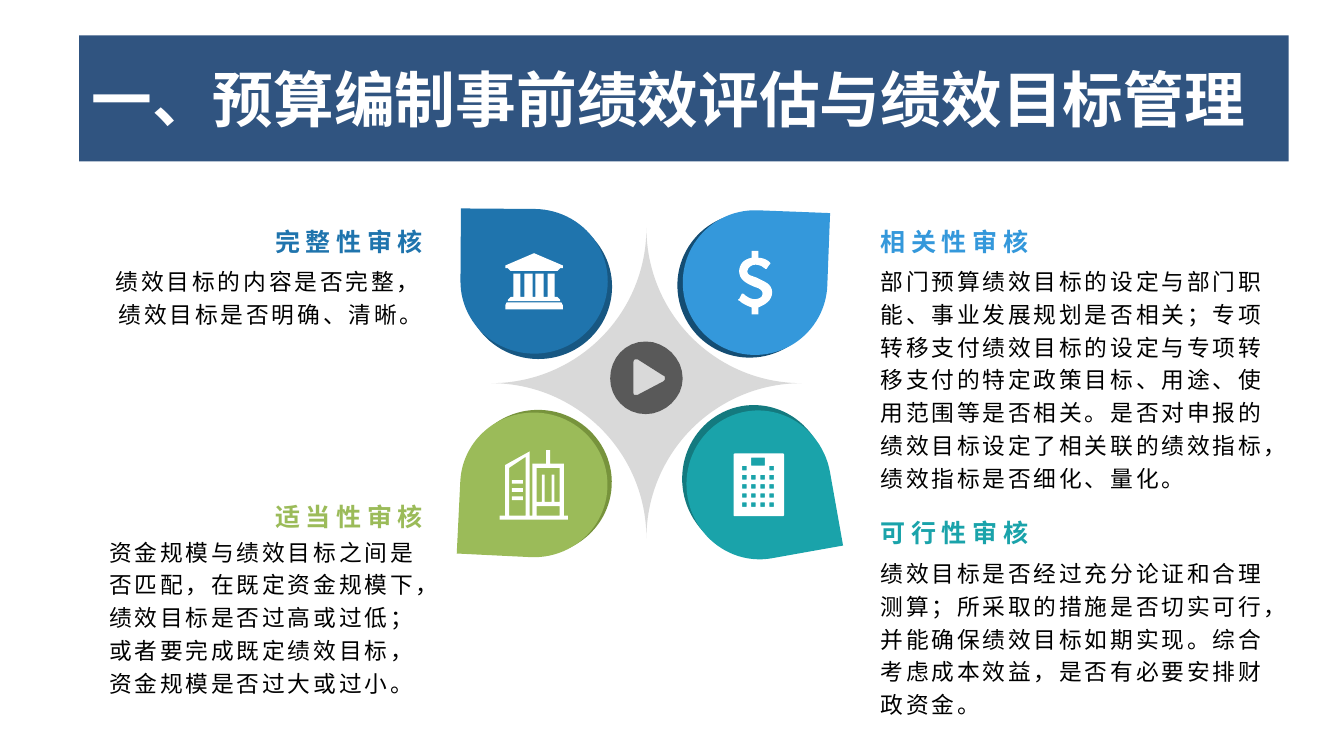
from lxml.etree import SubElement
from pptx import Presentation
from pptx.dml.color import RGBColor
from pptx.enum.shapes import MSO_SHAPE
from pptx.enum.text import MSO_ANCHOR, MSO_AUTO_SIZE, PP_ALIGN
from pptx.oxml.ns import qn
from pptx.util import Cm, Pt

FONT = "Noto Sans CJK SC"
COLORS = {
    "banner": "305480", "white": "FFFFFF", "text": "000000",
    "star": "D9D9D9", "button": "595959",
    "blue": "1F74AD", "blue_dark": "175782",
    "sky": "3498DB", "sky_dark": "144D73",
    "green": "9BBB59", "green_dark": "77933C",
    "teal": "1AA3AA", "teal_dark": "147A7F",
}


def color(name):
    return RGBColor.from_string(COLORS[name])


def paint(shape, fill):
    shape.fill.solid()
    shape.fill.fore_color.rgb = color(fill)
    shape.line.fill.background()
    shape.shadow.inherit = False


def write_text(shape, text, size=12, fill="text", bold=False, align=PP_ALIGN.LEFT,
               anchor=MSO_ANCHOR.TOP, spacing=0, line_spacing=1.2,
               margins=(0.18, 0, 0.18, 0.1)):
    frame = shape.text_frame
    frame.word_wrap = True
    frame.auto_size = MSO_AUTO_SIZE.NONE
    frame.vertical_anchor = anchor
    (frame.margin_left, frame.margin_top,
     frame.margin_right, frame.margin_bottom) = map(Cm, margins)
    paragraph = frame.paragraphs[0]
    paragraph.alignment = align
    paragraph.line_spacing = line_spacing
    run = paragraph.add_run()
    run.text = text
    run.font.size = Pt(size)
    run.font.bold = bold
    run.font.name = FONT
    run.font.color.rgb = color(fill)
    properties = run.font._element
    properties.set("lang", "zh-CN")
    properties.set("spc", str(int(spacing * 100)))
    SubElement(properties, qn("a:ea")).set("typeface", FONT)


# Icon outlines: a pair is a corner, six numbers are a curve
def flatten(contour, steps=8):
    points = []
    for segment in contour:
        if len(segment) == 2:
            points.append(segment)
            continue
        controls = [points[-1], segment[:2], segment[2:4], segment[4:]]
        for step in range(1, steps + 1):
            t = step / steps
            weights = ((1 - t) ** 3, 3 * t * (1 - t) ** 2, 3 * t * t * (1 - t), t ** 3)
            points.append(tuple(sum(w * control[axis] for w, control in zip(weights, controls))
                                for axis in (0, 1)))
    return [(round(x * 10), round(y * 10)) for x, y in points]


def rectangle(left, top, width, height):
    right, bottom = left + width, top + height
    return [(left, top), (right, top), (right, bottom), (left, bottom)]


def bank_icon():
    roof = [(0, 9), (21, 0), (42, 9), (42, 11), (40, 11), (38, 13), (4, 13), (2, 11), (0, 11)]
    base = [(0, 41), (0, 38), (1, 36), (41, 36), (42, 38), (42, 41)]
    columns = [(2, 35), (2, 34), (4, 32)]
    for left, right in ((6, 11), (14, 20), (22, 28), (31, 36)):
        columns += [(left, 32), (left, 15), (right, 15), (right, 32)]
    return [roof, base, columns + [(38, 32), (40, 34), (40, 35)]]


def dollar_icon():
    return [[
        (15, 41), (15, 46), (10, 46), (10, 41), (4, 39, 1, 36, 1, 36), (0, 36, 0, 35, 1, 35),
        (3, 31), (4, 31), (4, 31, 8, 35, 12, 35), (15, 35, 18, 34, 18, 31),
        (18, 28, 15, 27, 12, 26), (7, 24, 1, 21, 1, 15), (1, 10, 4, 6, 10, 5),
        (10, 0), (15, 0), (15, 5), (20, 5, 23, 8, 23, 8), (24, 9, 24, 9, 23, 10),
        (21, 13), (20, 13), (20, 13, 17, 10, 13, 10), (9, 10, 7, 13, 7, 15),
        (7, 18, 11, 18, 15, 20), (19, 22, 25, 24, 25, 30), (25, 36, 20, 39, 15, 41),
    ]]


def buildings_icon():
    outline = [(50, 51), (0, 51), (0, 48), (4, 48), (4, 11), (22, 1), (22, 48), (24, 48),
               (24, 10), (34, 10), (34, 0), (37, 0), (37, 10), (47, 10), (47, 48), (50, 48)]
    tower = [(19, 5), (7, 13), (7, 48), (19, 48)]
    windows = [(44, 13), (27, 13), (27, 38), (31, 38), (31, 18), (33, 18),
               (33, 38), (38, 38), (38, 18), (40, 18), (40, 38), (44, 38)]
    bars = [rectangle(9, top, 8, 2.7) for top in (22, 28, 34)]
    return [outline, tower, windows, rectangle(27, 41, 17, 7), *bars]


def calculator_icon():
    body = [(0, 1), (0, 0, 1, 0, 1, 0), (36, 0), (37, 0, 37, 1, 37, 1),
            (37, 45), (37, 46, 36, 46, 36, 46), (1, 46), (0, 46, 0, 45, 0, 45)]
    keys = [rectangle(6.3 + 6.65 * column, 9.2 + 6.65 * row, 3.3, 3.3)
            for row in range(5) for column in range(4) if row or column in (0, 3)]
    return [body, rectangle(13, 3, 10, 6), *keys]


def play_icon():
    disc = [(53, 27), (53, 41, 40, 53, 26, 53), (11, 53, 0, 41, 0, 27),
            (0, 12, 11, 0, 26, 0), (40, 0, 53, 12, 53, 27)]
    triangle = [(40, 27), (40, 26, 40, 25, 39, 25), (20, 13), (20, 13, 19, 13, 18, 13),
                (17, 14, 17, 15, 17, 15), (17, 37), (17, 38, 17, 39, 18, 39),
                (20, 39), (39, 29), (40, 28, 40, 28, 40, 27)]
    return [disc, triangle]


def add_icon(slide, contours, box, fill="white"):
    """Centre an icon of the given width in a box: left, top, width, height, icon width."""
    left, top, width, height, icon_width = box
    outlines = [flatten(contour) for contour in contours]
    points = [point for outline in outlines for point in outline]
    columns, rows = (max(values) for values in zip(*points))
    unit = icon_width / columns
    builder = slide.shapes.build_freeform(*outlines[0][0], scale=Cm(unit))
    for index, outline in enumerate(outlines):
        if index:
            builder.move_to(*outline[0])
        builder.add_line_segments(outline[1:], close=True)
    shape = builder.convert_to_shape(Cm(left + (width - icon_width) / 2),
                                     Cm(top + (height - rows * unit) / 2))
    paint(shape, fill)


def add_title(slide, left, top, width, height, text):
    title = slide.shapes.title
    title.left, title.top, title.width, title.height = map(Cm, (left, top, width, height))
    paint(title, "banner")
    write_text(title, text, size=32, fill="white", bold=True, anchor=MSO_ANCHOR.MIDDLE,
               line_spacing=1, margins=(0.23, 0.1, 0.23, 0.1))


def add_star(slide, left, top, size):
    star = slide.shapes.add_shape(MSO_SHAPE.PLAQUE, Cm(left), Cm(top), Cm(size), Cm(size))
    star.adjustments[0] = 0.5
    paint(star, "star")
    add_icon(slide, play_icon(), (left, top - 0.1, size, size, 1.35), "button")


def add_petal(slide, box, shade, rotation, fill, icon, icon_width):
    left, top, width, height = box
    for x, y, name in ((*shade, fill + "_dark"), (0, 0, fill)):
        petal = slide.shapes.add_shape(MSO_SHAPE.TEAR, Cm(left + x), Cm(top + y),
                                       Cm(width), Cm(height))
        petal.rotation = rotation
        paint(petal, name)
    add_icon(slide, icon, (*box, icon_width))


def add_review(slide, left, top, width, gap, fill, heading, body,
               heading_align=PP_ALIGN.LEFT, body_align=PP_ALIGN.LEFT):
    heading_box = slide.shapes.add_textbox(Cm(left), Cm(top), Cm(6.2), Cm(0.81))
    write_text(heading_box, heading, size=13.2, fill=fill, bold=True, align=heading_align,
               anchor=MSO_ANCHOR.BOTTOM, spacing=3, margins=(0.18, 0.1, 0.18, 0))
    body_box = slide.shapes.add_textbox(Cm(left), Cm(top + gap), Cm(width), Cm(1.3))
    write_text(body_box, body, align=body_align, spacing=1.5)


def main():
    presentation = Presentation()
    presentation.slide_width, presentation.slide_height = Cm(25), Cm(14)
    slide = presentation.slides.add_slide(presentation.slide_layouts[5])
    add_title(slide, 1.47, 0.66, 22.5, 2.34, "一、预算编制事前绩效评估与绩效目标管理")

    # Central star with four petals
    add_star(slide, 9.14, 4.24, 5.77)
    add_petal(slide, (8.59, 3.86, 2.69, 2.74), (0.08, 0.1), 270.4, "blue", bank_icon(), 1.07)
    add_petal(slide, (12.7, 3.91, 2.69, 2.69), (-0.1, 0.05), 2.2, "sky", dollar_icon(), 0.64)
    add_petal(slide, (8.56, 7.67, 2.74, 2.69), (0.08, -0.05), 182.8, "green",
              buildings_icon(), 1.27)
    add_petal(slide, (12.73, 7.67, 2.77, 2.69), (-0.08, -0.1), 79.9, "teal",
              calculator_icon(), 0.94)

    # Review texts on both sides
    add_review(slide, 1.85, 3.96, 6.2, 0.92, "blue", "完整性审核",
               "绩效目标的内容是否完整，绩效目标是否明确、清晰。", PP_ALIGN.RIGHT, PP_ALIGN.RIGHT)
    add_review(slide, 16.2, 3.96, 7.75, 0.92, "sky", "相关性审核",
               "部门预算绩效目标的设定与部门职能、事业发展规划是否相关；专项转移支付绩效目标的设定与"
               "专项转移支付的特定政策目标、用途、使用范围等是否相关。是否对申报的绩效目标设定了"
               "相关联的绩效指标，绩效指标是否细化、量化。")
    add_review(slide, 1.85, 9.07, 6.2, 0.84, "green", "适当性审核",
               "资金规模与绩效目标之间是否匹配，在既定资金规模下，绩效目标是否过高或过低；"
               "或者要完成既定绩效目标，资金规模是否过大或过小。", PP_ALIGN.RIGHT)
    add_review(slide, 16.2, 9.37, 7.75, 0.94, "teal", "可行性审核",
               "绩效目标是否经过充分论证和合理测算；所采取的措施是否切实可行，并能确保绩效目标"
               "如期实现。综合考虑成本效益，是否有必要安排财政资金。")
    presentation.save("out.pptx")


if __name__ == "__main__":
    main()
